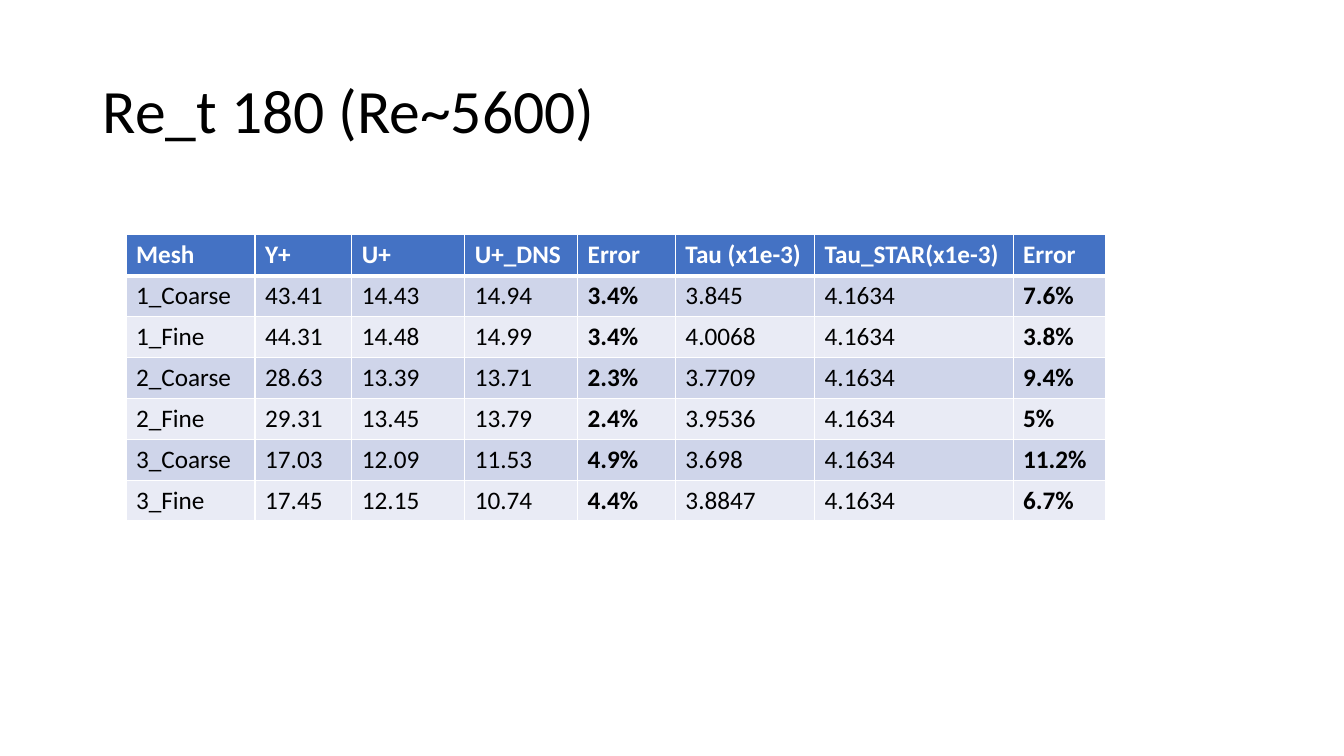
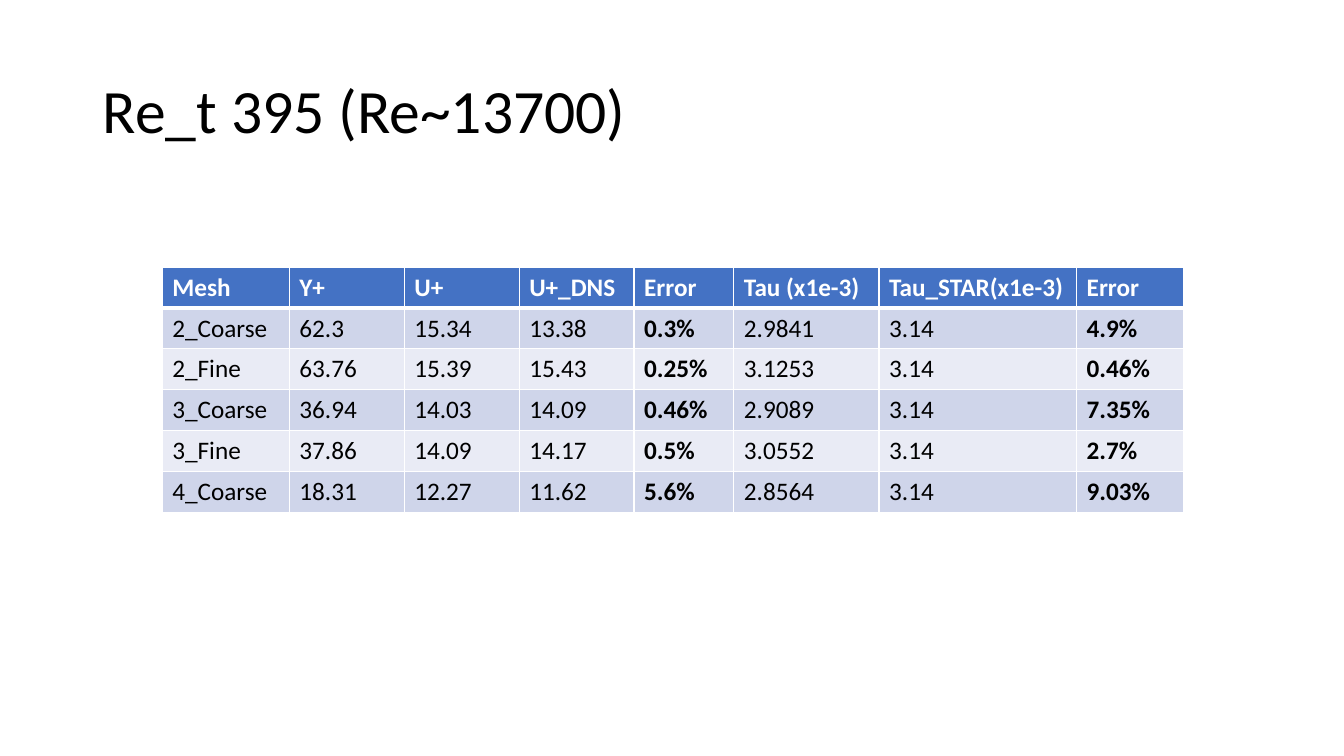
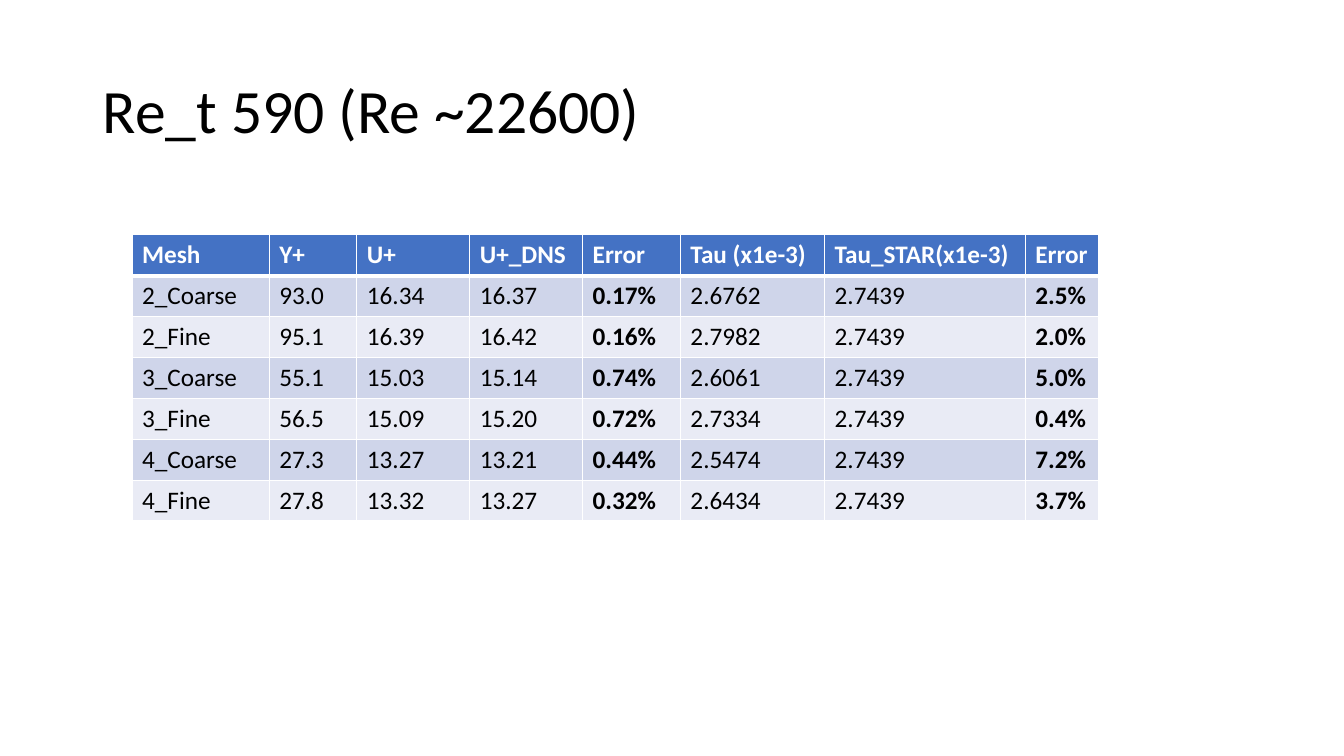
from dataclasses import dataclass

from lxml.etree import SubElement
from pptx import Presentation
from pptx.dml.color import RGBColor as Color
from pptx.enum.text import MSO_ANCHOR as Anchor, PP_ALIGN as Align
from pptx.oxml.ns import qn
from pptx.util import Inches, Pt


@dataclass(frozen=True)
class Theme:
    """Colours, type sizes and shared measures of the deck."""
    font: str = "Calibri"
    title_size: int = 44
    cell_size: int = 18
    text: str = "000000"
    white: str = "FFFFFF"
    header: str = "4472C4"
    bands: tuple = ("CFD5EA", "E9EBF5")
    thin_line: int = 1
    thick_line: int = 3
    row_height: float = 29.2
    title_box: tuple = (0.92, 0.4, 11.5, 1.45)


THEME = Theme()
TITLE_ONLY = 5
HEADINGS = ("Mesh", "Y+", "U+", "U+_DNS", "Error",
            "Tau (x1e-3)", "Tau_STAR(x1e-3)", "Error")


@dataclass(frozen=True)
class MeshStudy:
    """One slide: its title, table corner, column widths and results."""
    title: str
    corner: tuple
    widths: tuple
    results: tuple


STUDIES = (
    MeshStudy(
        "Re_t 180 (Re~5600)", (1.25, 2.33),
        (1.28, 0.96, 1.12, 1.12, 0.97, 1.38, 1.97, 0.92),
        (
            ("1_Coarse", "43.41", "14.43", "14.94", "3.4%", "3.845", "4.1634", "7.6%"),
            ("1_Fine", "44.31", "14.48", "14.99", "3.4%", "4.0068", "4.1634", "3.8%"),
            ("2_Coarse", "28.63", "13.39", "13.71", "2.3%", "3.7709", "4.1634", "9.4%"),
            ("2_Fine", "29.31", "13.45", "13.79", "2.4%", "3.9536", "4.1634", "5%"),
            ("3_Coarse", "17.03", "12.09", "11.53", "4.9%", "3.698", "4.1634", "11.2%"),
            ("3_Fine", "17.45", "12.15", "10.74", "4.4%", "3.8847", "4.1634", "6.7%"),
        )),
    MeshStudy(
        "Re_t 395 (Re~13700)", (1.61, 2.65),
        (1.26, 1.14, 1.14, 1.14, 0.99, 1.44, 1.96, 1.06),
        (
            ("2_Coarse", "62.3", "15.34", "13.38", "0.3%", "2.9841", "3.14", "4.9%"),
            ("2_Fine", "63.76", "15.39", "15.43", "0.25%", "3.1253", "3.14", "0.46%"),
            ("3_Coarse", "36.94", "14.03", "14.09", "0.46%", "2.9089", "3.14", "7.35%"),
            ("3_Fine", "37.86", "14.09", "14.17", "0.5%", "3.0552", "3.14", "2.7%"),
            ("4_Coarse", "18.31", "12.27", "11.62", "5.6%", "2.8564", "3.14", "9.03%"),
        )),
    MeshStudy(
        "Re_t 590 (Re ~22600)", (1.31, 2.33),
        (1.36, 0.87, 1.12, 1.12, 0.97, 1.43, 1.99, 0.73),
        (
            ("2_Coarse", "93.0", "16.34", "16.37", "0.17%", "2.6762", "2.7439", "2.5%"),
            ("2_Fine", "95.1", "16.39", "16.42", "0.16%", "2.7982", "2.7439", "2.0%"),
            ("3_Coarse", "55.1", "15.03", "15.14", "0.74%", "2.6061", "2.7439", "5.0%"),
            ("3_Fine", "56.5", "15.09", "15.20", "0.72%", "2.7334", "2.7439", "0.4%"),
            ("4_Coarse", "27.3", "13.27", "13.21", "0.44%", "2.5474", "2.7439", "7.2%"),
            ("4_Fine", "27.8", "13.32", "13.27", "0.32%", "2.6434", "2.7439", "3.7%"),
        )),
)


def style_font(para, size, color, bold=False):
    """Give a paragraph the deck's font with a size, colour and weight."""
    font = para.font
    font.name, font.size, font.bold = THEME.font, Pt(size), bold
    font.color.rgb = Color.from_string(color)


def set_title(slide, text):
    """Place and format the title placeholder."""
    title = slide.shapes.title
    title.left, title.top, title.width, title.height = map(Inches, THEME.title_box)
    title.text_frame.text = text
    title.text_frame.vertical_anchor = Anchor.MIDDLE
    para = title.text_frame.paragraphs[0]
    para.alignment, para.line_spacing = Align.LEFT, 0.9
    style_font(para, THEME.title_size, THEME.text)


def set_borders(cell, top, bottom):
    """Draw white cell borders; top and bottom widths are in points."""
    sides = {"L": THEME.thin_line, "R": THEME.thin_line, "T": top, "B": bottom}
    properties = cell._tc.get_or_add_tcPr()
    for side, width in sides.items():
        line = SubElement(properties, qn(f"a:ln{side}"), w=str(Pt(width)))
        fill = SubElement(line, qn("a:solidFill"))
        SubElement(fill, qn("a:srgbClr"), val=THEME.white)


def fill_cell(cell, text, row, bold):
    """Write one cell and style it as header (row 0) or banded body."""
    is_header = row == 0
    cell.text = text
    style_font(cell.text_frame.paragraphs[0], THEME.cell_size,
               THEME.white if is_header else THEME.text, bold or is_header)
    set_borders(cell,
                top=THEME.thick_line if row == 1 else THEME.thin_line,
                bottom=THEME.thick_line if is_header else THEME.thin_line)
    cell.fill.solid()
    cell.fill.fore_color.rgb = Color.from_string(
        THEME.header if is_header else THEME.bands[(row - 1) % 2])


def add_results_table(slide, study):
    """Add the table of mesh results, with the error columns in bold."""
    rows = (HEADINGS, *study.results)
    left, top = map(Inches, study.corner)
    table = slide.shapes.add_table(
        len(rows), len(HEADINGS), left, top,
        Inches(sum(study.widths)), Pt(THEME.row_height * len(rows))).table
    for column, width in zip(table.columns, study.widths):
        column.width = Inches(width)
    for row, values in enumerate(rows):
        table.rows[row].height = Pt(THEME.row_height)
        for column, (heading, value) in enumerate(zip(HEADINGS, values)):
            fill_cell(table.cell(row, column), value, row, heading == "Error")


def main():
    """Build one slide for each mesh study and save the deck."""
    deck = Presentation()
    deck.slide_width, deck.slide_height = Inches(13.33), Inches(7.5)
    for study in STUDIES:
        slide = deck.slides.add_slide(deck.slide_layouts[TITLE_ONLY])
        set_title(slide, study.title)
        add_results_table(slide, study)
    deck.save("out.pptx")


main()
